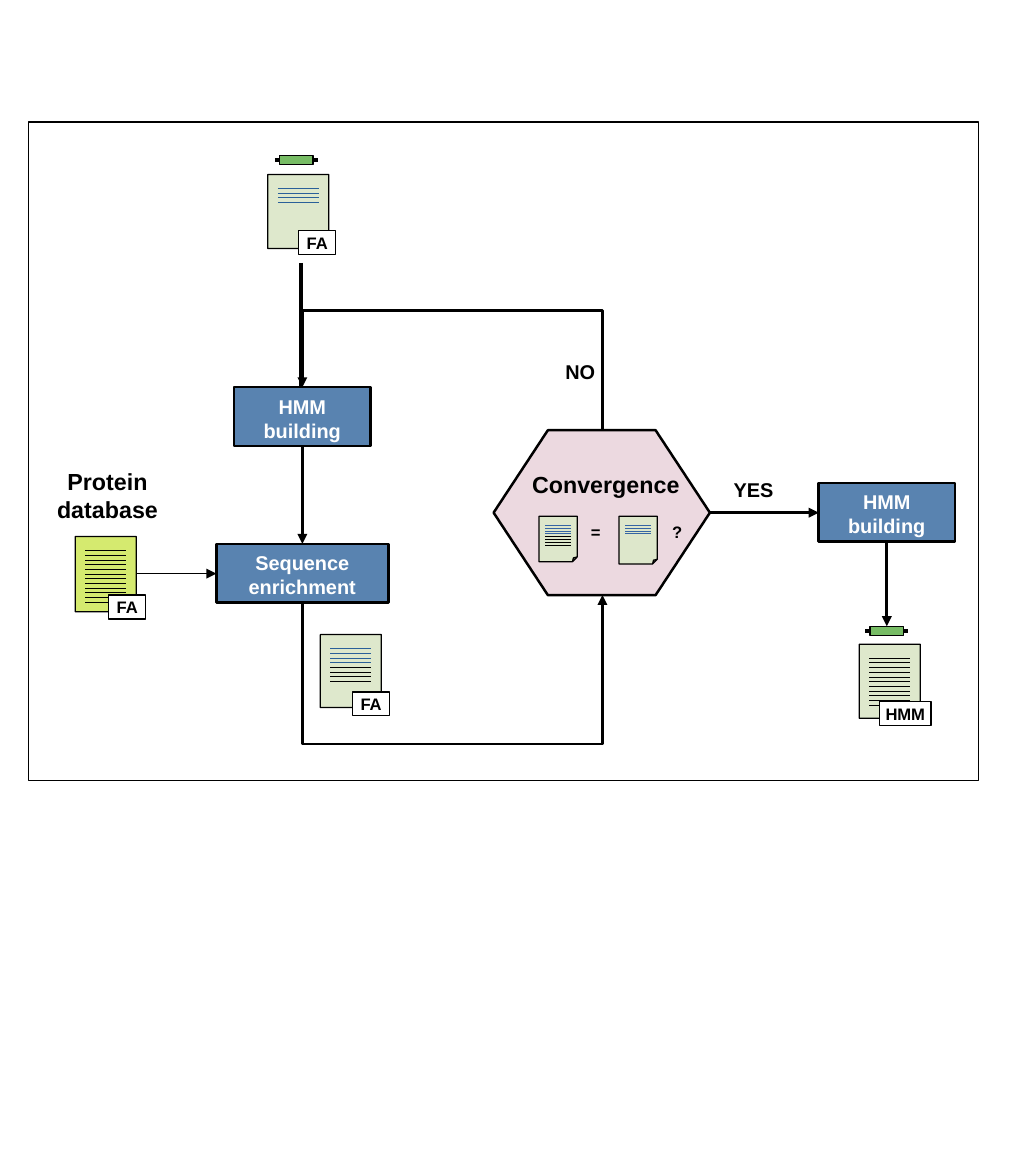
from lxml.etree import SubElement
from pptx import Presentation
from pptx.dml.color import RGBColor
from pptx.enum.shapes import MSO_CONNECTOR as CONNECTOR, MSO_SHAPE as SHAPE
from pptx.enum.text import MSO_ANCHOR as ANCHOR, PP_ALIGN as ALIGN
from pptx.oxml.ns import qn
from pptx.util import Pt

PX = 9144
FONT = "Arial"
COLORS = {
    "black": "000000",
    "white": "FFFFFF",
    "step": "5983B0",
    "decision": "E0C2CD",
    "page": "DDE8CB",
    "database": "D4EA6B",
    "domain": "77BC65",
    "sequence": "2A6099",
    "small_sequence": "3465A4",
}


def emu(*lengths):
    return [round(length * PX) for length in lengths]


def color(name):
    return RGBColor.from_string(COLORS[name])


def write(shape, text, size, text_color="black", anchor=ANCHOR.TOP, wrap=True, margins=(10, 5)):
    frame = shape.text_frame
    frame.text = text
    frame.word_wrap = wrap
    frame.vertical_anchor = anchor
    frame.margin_left = frame.margin_right = margins[0] * PX
    frame.margin_top = frame.margin_bottom = margins[1] * PX
    for paragraph in frame.paragraphs:
        paragraph.alignment = ALIGN.CENTER
        for run in paragraph.runs:
            run.font.name = FONT
            run.font.size = Pt(size)
            run.font.bold = True
            run.font.color.rgb = color(text_color)


def add_label(shapes, box, text, size):
    write(shapes.add_textbox(*emu(*box)), text, size)


def set_geometry(shape, preset, guide_name, value):
    geometry = shape._element.spPr.find(qn("a:prstGeom"))
    geometry.set("prst", preset)
    guides = geometry.find(qn("a:avLst"))
    if guides is None:
        guides = SubElement(geometry, qn("a:avLst"))
    guide = SubElement(guides, qn("a:gd"))
    guide.set("name", guide_name)
    guide.set("fmla", f"val {value}")


def add_box(shapes, kind, box, fill=None, width=0, opacity=100):
    shape = shapes.add_shape(kind, *emu(*box))
    shape.shadow.inherit = False
    shape.line.color.rgb = color("black")
    shape.line.width = Pt(width)
    if fill is None:
        shape.fill.background()
        return shape
    shape.fill.solid()
    shape.fill.fore_color.rgb = color(fill)
    if opacity < 100:
        fill_color = shape._element.spPr.find(qn("a:solidFill"))[0]
        SubElement(fill_color, qn("a:alpha")).set("val", str(opacity * 1000))
    return shape


def add_line(shapes, start, end, width=0, line_color="black", arrow=False, kind=CONNECTOR.STRAIGHT):
    line = shapes.add_connector(kind, *emu(*start, *end))
    line.line.color.rgb = color(line_color)
    line.line.width = Pt(width)
    if arrow:
        SubElement(line.line._get_or_add_ln(), qn("a:tailEnd")).set("type", "triangle")
    SubElement(line._element.spPr, qn("a:effectLst"))
    return line


def add_loop(shapes, start, lane, end):
    (start_x, start_y), (end_x, end_y) = start, end
    along, across = abs(end_y - start_y), abs(end_x - start_x)
    left = (start_x + end_x - along) / 2
    top = (start_y + end_y - across) / 2
    loop = add_line(shapes, (left, top), (left + along, top + across), 1.5,
                    arrow=True, kind=CONNECTOR.ELBOW)
    transform = loop._element.spPr.xfrm
    rightward = end_x > start_x
    transform.set("rot", str((90 if rightward else 270) * 60000))
    transform.set("flipV", "1")
    if rightward:
        transform.set("flipH", "1")
    bend = round((lane - start_y) / (end_y - start_y) * 100000)
    set_geometry(loop, "bentConnector3", "adj1", bend)


def add_step(shapes, box, text):
    step = add_box(shapes, SHAPE.RECTANGLE, box, "step", 1.5)
    write(step, text, 12, "white", margins=(11, 6))
    return step


def add_document(shapes, box, colored, plain, fill="page", accent="sequence"):
    left, top, width, _ = box
    group = shapes.add_group_shape().shapes
    page = add_box(group, SHAPE.FOLDED_CORNER, box, fill, opacity=97)
    set_geometry(page, "foldedCorner", "adj", 12500)
    for row, row_color in enumerate([accent] * colored + ["black"] * plain):
        y = top + width * (0.23 + 0.077 * row)
        add_line(group, (left + width / 6, y), (left + width * 5 / 6, y), 0.5, row_color)


def add_badge(shapes, box, text):
    badge = add_box(shapes, SHAPE.RECTANGLE, box, "white")
    write(badge, text, 10, anchor=ANCHOR.MIDDLE, wrap=False)


def add_domain(shapes, box):
    left, top, width, height = box
    middle = top + height / 2
    add_line(shapes, (left, middle), (left + width, middle))
    add_box(shapes, SHAPE.RECTANGLE, (left + 4, top, width - 8, height), "domain")


def add_convergence(shapes, box):
    left, top, width, height = box
    hexagon = add_box(shapes, SHAPE.HEXAGON, box, "decision", 1.5, 61)
    hexagon.adjustments[0] = 0.329
    add_label(shapes, (left + 12, top + 29, 164, 36), "Convergence", 14)
    row = top + 72
    add_document(shapes, (left + 38, row, 32, 38), 4, 4, accent="small_sequence")
    add_label(shapes, (left + 66, row, 39, 41), "=", 10)
    add_document(shapes, (left + 105, row, 32, 40), 4, 0, accent="small_sequence")
    add_label(shapes, (left + 131, row, 45, 41), "?", 10)


def add_input(shapes, left, top):
    add_domain(shapes, (left + 6, top, 36, 8))
    add_document(shapes, (left, top + 16, 51, 62), 4, 0)
    add_badge(shapes, (left + 26, top + 63, 31, 20), "FA")


def add_database(shapes, left, top):
    add_label(shapes, (left, top, 118, 54), "Protein\ndatabase", 14)
    add_document(shapes, (left + 32, top + 63, 51, 63), 0, 12, fill="database")
    add_badge(shapes, (left + 60, top + 112, 31, 20), "FA")


def add_enriched(shapes, left, top):
    add_document(shapes, (left, top, 51, 61), 4, 4)
    add_badge(shapes, (left + 27, top + 48, 31, 20), "FA")


def add_profile(shapes, left, top):
    add_domain(shapes, (left + 5, top, 36, 8))
    add_document(shapes, (left, top + 15, 51, 62), 0, 11)
    add_badge(shapes, (left + 17, top + 63, 43, 20), "HMM")


def add_workflow(shapes, box):
    add_box(shapes, SHAPE.RECTANGLE, box)
    building = add_step(shapes, (196, 324, 114, 49), "HMM building")
    enrichment = add_step(shapes, (181, 455, 144, 49), "Sequence enrichment")
    add_step(shapes, (685, 404, 114, 49), "HMM building")

    add_loop(shapes, (253, 504), 623, (504, 498))
    add_loop(shapes, (504, 360), 260, (253, 324))
    descent = add_line(shapes, (253, 373), (253, 455), 1.5, arrow=True)
    descent.begin_connect(building, 2)
    descent.end_connect(enrichment, 0)
    add_line(shapes, (252, 220), (252, 324))
    add_line(shapes, (114, 480), (181, 480), 0.5, arrow=True)
    add_line(shapes, (594, 429), (685, 429), arrow=True)
    add_line(shapes, (742, 453), (742, 524), arrow=True)

    add_label(shapes, (458, 296, 55, 29), "NO", 12)
    add_label(shapes, (593, 395, 75, 29), "YES", 12)
    add_input(shapes, 224, 130)
    add_database(shapes, 31, 386)
    add_enriched(shapes, 268, 531)
    add_convergence(shapes, (413, 360, 181, 138))
    add_profile(shapes, 719, 524)


def main():
    presentation = Presentation()
    presentation.slide_width, presentation.slide_height = emu(866, 984)
    slide = presentation.slides.add_slide(presentation.slide_layouts[6])
    add_workflow(slide.shapes, (24, 102, 795, 551))
    presentation.save("out.pptx")


if __name__ == "__main__":
    main()
